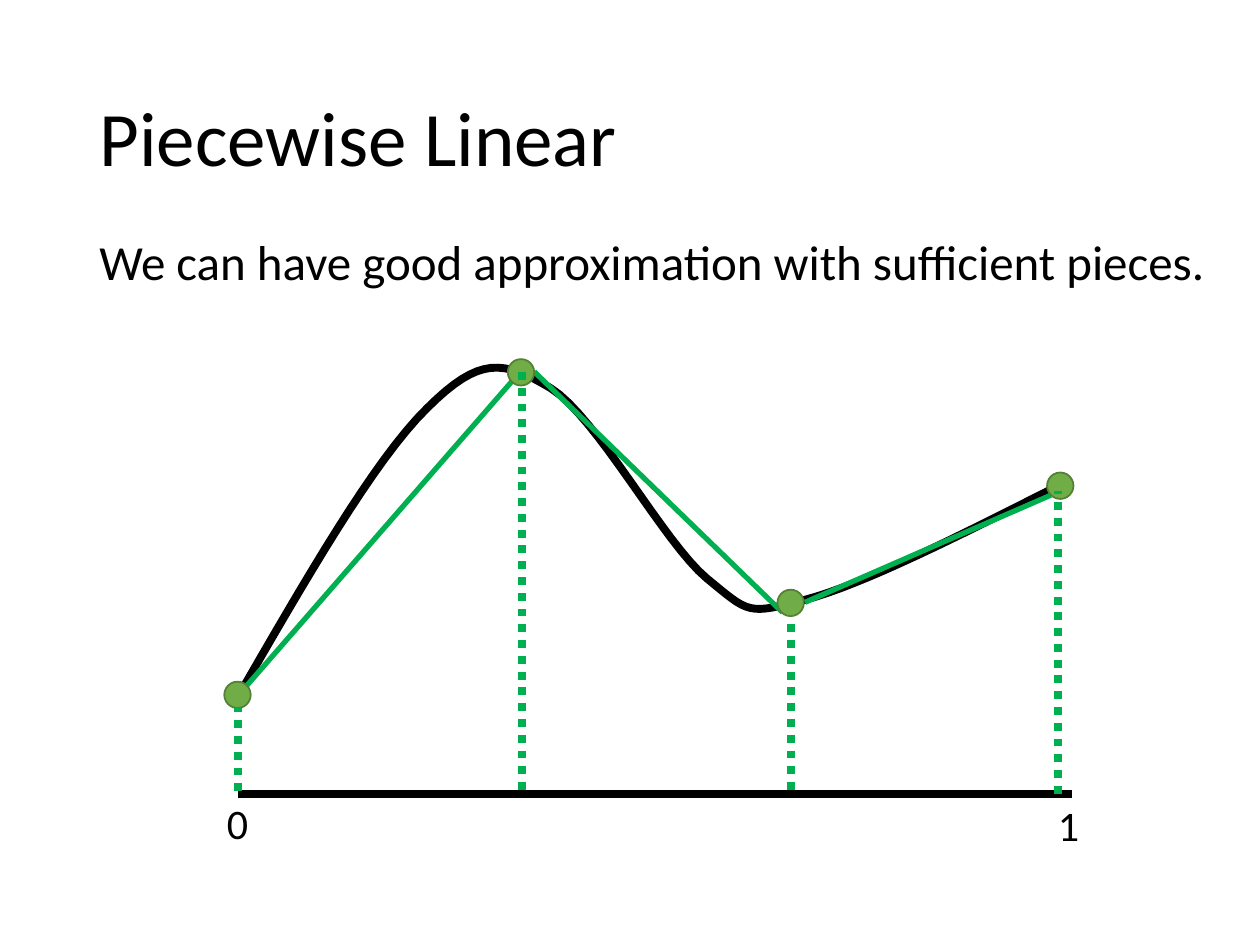
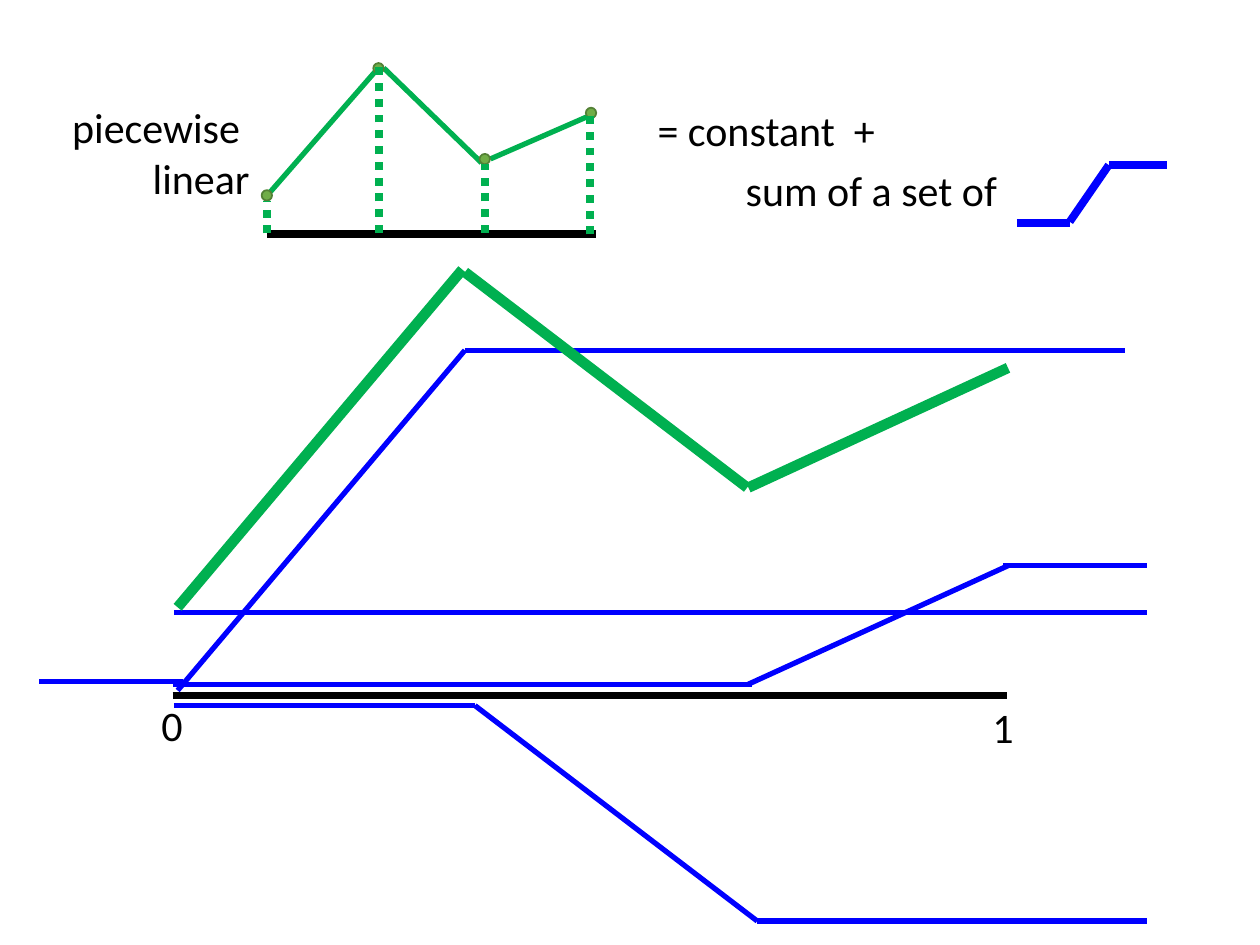
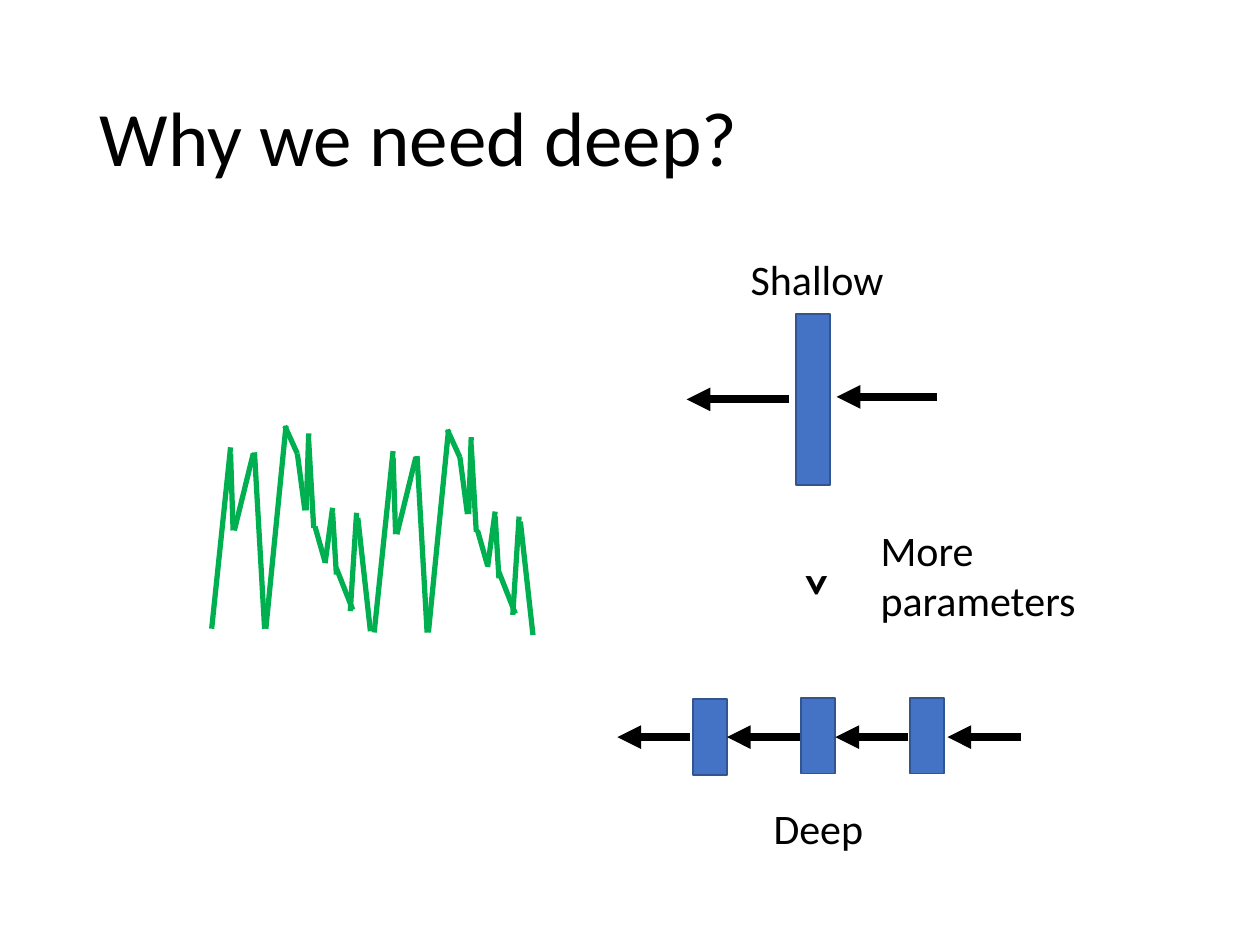
from dataclasses import dataclass

from lxml import etree
from pptx import Presentation
from pptx.dml.color import RGBColor
from pptx.enum import dml, shapes, text
from pptx.oxml import ns
from pptx.util import Inches, Pt


@dataclass(frozen=True)
class Theme:
    font: str = "Calibri"
    black: RGBColor = RGBColor.from_string("000000")
    green: RGBColor = RGBColor.from_string("00B050")
    blue: RGBColor = RGBColor.from_string("0000FF")
    dot_fill: RGBColor = RGBColor.from_string("70AD47")
    dot_edge: RGBColor = RGBColor.from_string("538035")
    layer_fill: RGBColor = RGBColor.from_string("4472C4")
    layer_edge: RGBColor = RGBColor.from_string("325491")
    title: int = 44
    lead: int = 28
    label: int = 24
    thin: float = 3
    thick: float = 4.5
    bold: float = 6


THEME = Theme()
LEFT, CENTER, RIGHT = text.PP_ALIGN.LEFT, text.PP_ALIGN.CENTER, text.PP_ALIGN.RIGHT


def draw_line(page, start, end, color, width, dotted=False, arrow=False):
    line = page.shapes.add_connector(
        shapes.MSO_CONNECTOR.STRAIGHT, *(Inches(value) for value in (*start, *end)))
    line.line.color.rgb = color
    line.line.width = Pt(width)
    if dotted:
        line.line.dash_style = dml.MSO_LINE.ROUND_DOT
    if arrow:
        etree.SubElement(line.line._get_or_add_ln(), ns.qn("a:tailEnd"), type="triangle")
    etree.SubElement(line._element.spPr, ns.qn("a:effectLst"))


def write(page, words, place, size=THEME.label, align=LEFT, bold=False, wrap=True):
    """Add a text box with one paragraph for each line of words."""
    box = page.shapes.add_textbox(*(Inches(value) for value in place))
    box.text_frame.word_wrap = wrap
    box.text_frame.text = words
    for para in box.text_frame.paragraphs:
        para.alignment = align
        para.font.name = THEME.font
        para.font.size = Pt(size)
        para.font.bold = bold
        para.font.color.rgb = THEME.black
    return box


deck = Presentation()
deck.slide_width, deck.slide_height = Inches(10), Inches(7.5)
TITLE_ONLY, BLANK = 5, 6

pages = []
for title in ("Piecewise Linear", None, "Why we need deep?"):
    page = deck.slides.add_slide(deck.slide_layouts[TITLE_ONLY if title else BLANK])
    pages.append(page)
    if title:
        heading = page.shapes.title
        heading.left, heading.top = Inches(0.69), Inches(0.4)
        heading.width, heading.height = Inches(8.62), Inches(1.45)
        heading.text_frame.text = title
        heading.text_frame.vertical_anchor = text.MSO_ANCHOR.MIDDLE
        para = heading.text_frame.paragraphs[0]
        para.alignment = LEFT
        para.line_spacing = 0.9
        para.font.name = THEME.font
        para.font.size = Pt(THEME.title)
        para.font.color.rgb = THEME.black
approximation, decomposition, depth = pages

# Axis from 0 to 1, shared by the first two slides
for page, left, top in ((approximation, 1.89, 6.3), (decomposition, 1.37, 5.52)):
    draw_line(page, (left, top), (left + 6.62, top), THEME.black, THEME.thick)
    write(page, "0", (left - 0.29, top - 0.02, 0.57, 0.5), align=CENTER)
    write(page, "1", (left + 6.36, top, 0.46, 0.5), align=CENTER)

# Smooth target function: Bezier control points, three for each stretch
write(approximation, "We can have good approximation with sufficient pieces.",
      (0.69, 1.79, 9.17, 0.57), THEME.lead, wrap=False)
controls = [(1.86, 5.58), (2.42, 4.61), (2.97, 3.65), (3.39, 3.24), (3.81, 2.82),
            (4, 2.86), (4.37, 3.08), (4.74, 3.31), (5.27, 4.31), (5.61, 4.59),
            (5.95, 4.87), (5.93, 4.88), (6.39, 4.76), (6.85, 4.64), (7.62, 4.25),
            (8.39, 3.86)]
STEPS = 16
curve_points = []
for first in range(0, len(controls) - 1, 3):
    stretch = controls[first:first + 4]
    for step in range(1, STEPS + 1):
        t = step / STEPS
        weights = ((1 - t) ** 3, 3 * t * (1 - t) ** 2, 3 * t ** 2 * (1 - t), t ** 3)
        curve_points.append(tuple(
            Inches(sum(weight * point[axis] for weight, point in zip(weights, stretch)))
            for axis in (0, 1)))
builder = approximation.shapes.build_freeform(*(Inches(value) for value in controls[0]))
builder.add_line_segments(curve_points, close=False)
curve = builder.convert_to_shape()
curve.shadow.inherit = False
curve.fill.background()
curve.line.color.rgb = THEME.black
curve.line.width = Pt(THEME.thick)

# Piecewise linear plot, measured from the axis start: full size, then reduced
pieces = [((0.07, -0.86), (2.17, -3.27)), ((4.32, -1.44), (2.35, -3.35)),
          ((6.45, -2.37), (4.5, -1.52))]
dot_corners = [(-0.11, -0.89), (2.14, -3.45), (4.28, -1.62), (6.42, -2.55)]
drops = [(0, -0.02, -0.68), (2.25, -0.03, -3.38), (4.39, -0.03, -1.42), (6.51, 0, -2.4)]
DOT = 0.21
for page, left, base, scale in ((approximation, 1.89, 6.3, 1),
                                (decomposition, 2.12, 1.86, 0.394)):
    if page is decomposition:
        draw_line(page, (left, base), (left + 6.62 * scale, base), THEME.black, THEME.thick)
    for piece in pieces:
        draw_line(page, *((left + x * scale, base + y * scale) for x, y in piece),
                  THEME.green, THEME.thin)
    for (x, y), (drop_x, low, high) in zip(dot_corners, drops):
        dot = page.shapes.add_shape(
            shapes.MSO_SHAPE.OVAL, Inches(left + x * scale), Inches(base + y * scale),
            Inches(DOT * scale), Inches(DOT * scale))
        dot.shadow.inherit = False
        dot.fill.solid()
        dot.fill.fore_color.rgb = THEME.dot_fill
        dot.line.color.rgb = THEME.dot_edge
        dot.line.width = Pt(1)
        draw_line(page, (left + drop_x * scale, base + low * scale),
                  (left + drop_x * scale, base + high * scale),
                  THEME.green, THEME.thick, dotted=True)

# Constant and ramps that add up to the green function
ramp_lines = [
    ((1.38, 4.86), (9.1, 4.86)),
    ((0.31, 5.41), (1.45, 5.41)), ((1.41, 5.48), (3.69, 2.78)), ((3.69, 2.78), (8.93, 2.78)),
    ((1.38, 5.6), (3.77, 5.6)), ((3.77, 5.6), (6.01, 7.31)), ((6.01, 7.31), (9.1, 7.31)),
    ((1.37, 5.43), (5.97, 5.43)), ((5.94, 5.43), (8, 4.49)), ((7.96, 4.49), (9.1, 4.49))]
ramp_symbol = [((8.8, 1.31), (9.26, 1.31)), ((8.07, 1.77), (8.49, 1.77)),
               ((8.49, 1.76), (8.8, 1.31))]
total = [((1.41, 4.82), (3.67, 2.14)), ((3.69, 2.16), (5.93, 3.87)), ((5.94, 3.87), (8, 2.92))]
for lines, color, width in ((ramp_lines, THEME.blue, THEME.thin),
                            (ramp_symbol, THEME.blue, THEME.thick),
                            (total, THEME.green, THEME.bold)):
    for start, end in lines:
        draw_line(decomposition, start, end, color, width)
write(decomposition, "sum of a set of", (5.82, 1.26, 2.61, 0.5))
write(decomposition, "= constant  +", (5.12, 0.78, 2.61, 0.5))
write(decomposition, "piecewise \nlinear", (0.42, 0.76, 1.66, 0.91), align=RIGHT)

# Shallow and deep networks
layers = [(6.32, 2.49, 1.36), (7.22, 5.54, 0.6), (6.36, 5.54, 0.6), (5.5, 5.55, 0.6)]
for left, top, height in layers:
    layer = depth.shapes.add_shape(shapes.MSO_SHAPE.RECTANGLE, Inches(left), Inches(top),
                                   Inches(0.27), Inches(height))
    layer.shadow.inherit = False
    layer.fill.solid()
    layer.fill.fore_color.rgb = THEME.layer_fill
    layer.line.color.rgb = THEME.layer_edge
    layer.line.width = Pt(1)
arrows = [(6.26, 3.17, 0.81), (7.44, 3.15, 0.8)]
arrows += [(right, 5.85, 0.58) for right in (8.1, 7.21, 6.35, 5.48)]
for right, y, length in arrows:
    draw_line(depth, (right, y), (right - length, y), THEME.black, THEME.thick, arrow=True)
write(depth, "Shallow", (5.86, 1.96, 1.46, 0.5))
write(depth, "Deep", (5.22, 6.32, 2.55, 0.5), align=CENTER)
write(depth, "More parameters", (6.89, 4.11, 1.77, 0.91))
greater = write(depth, ">", (6.15, 4.52, 0.72, 0.57), THEME.lead, bold=True)
greater.rotation = 90

# Zigzag function: one pattern drawn twice
zigzag = [
    ((1.68, 4.99), (1.83, 3.55)), ((1.85, 4.21), (1.83, 3.6)), ((1.86, 4.21), (2.01, 3.6)),
    ((2.1, 4.99), (2.02, 3.59)), ((2.11, 4.99), (2.27, 3.38)), ((2.36, 3.6), (2.26, 3.38)),
    ((2.42, 4.05), (2.36, 3.6)), ((2.43, 4.05), (2.45, 3.44)), ((2.49, 4.19), (2.45, 3.5)),
    ((2.58, 4.46), (2.5, 4.18)), ((2.64, 4.03), (2.58, 4.47)), ((2.64, 4.07), (2.67, 4.56)),
    ((2.67, 4.51), (2.8, 4.84)), ((2.78, 4.85), (2.83, 4.07)), ((2.94, 5.01), (2.84, 4.11))]
for shift_x, shift_y in ((0, 0), (1.29, 0.03)):
    for stroke in zigzag:
        draw_line(depth, *((x + shift_x, y + shift_y) for x, y in stroke),
                  THEME.green, THEME.thin)

deck.save("out.pptx")
